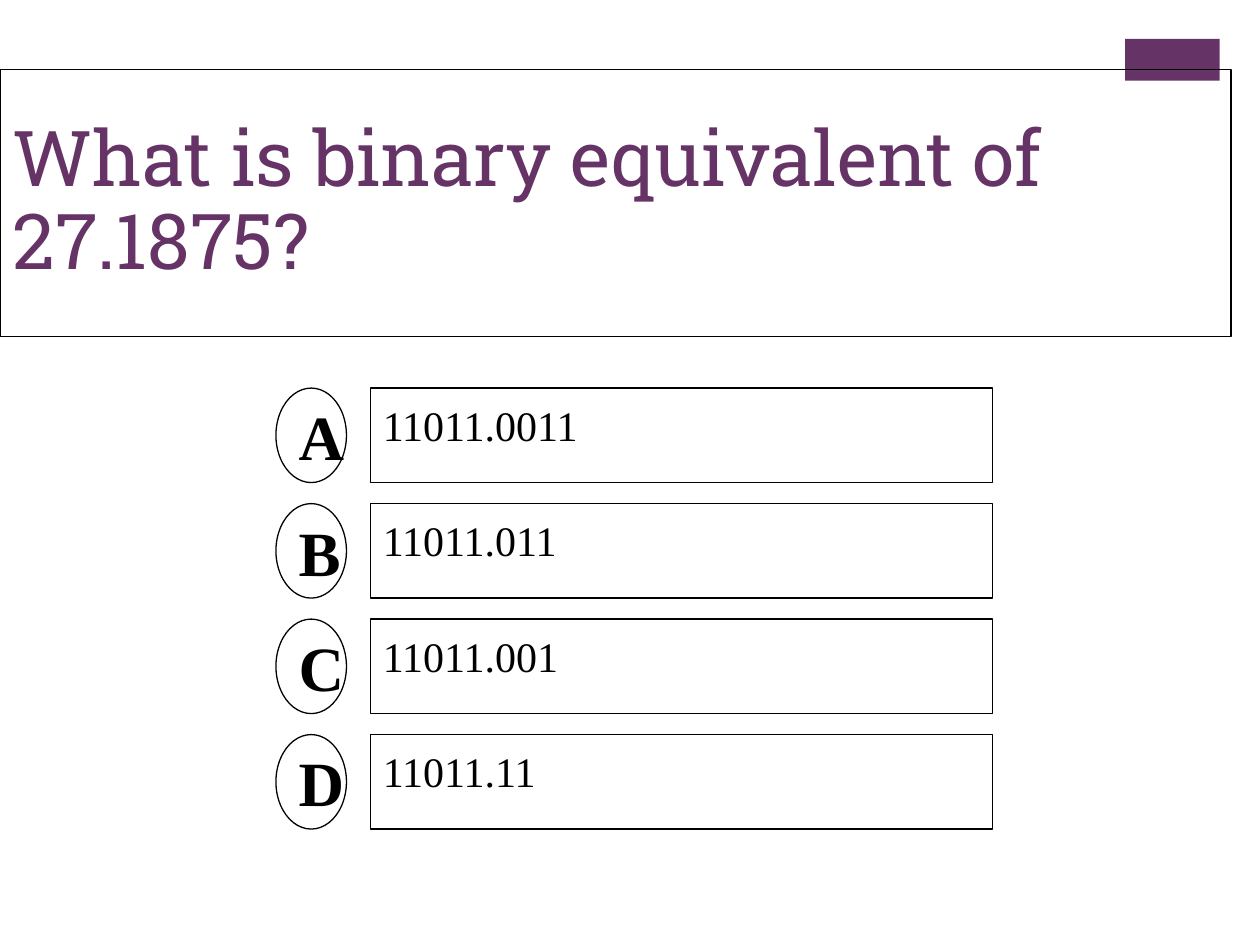
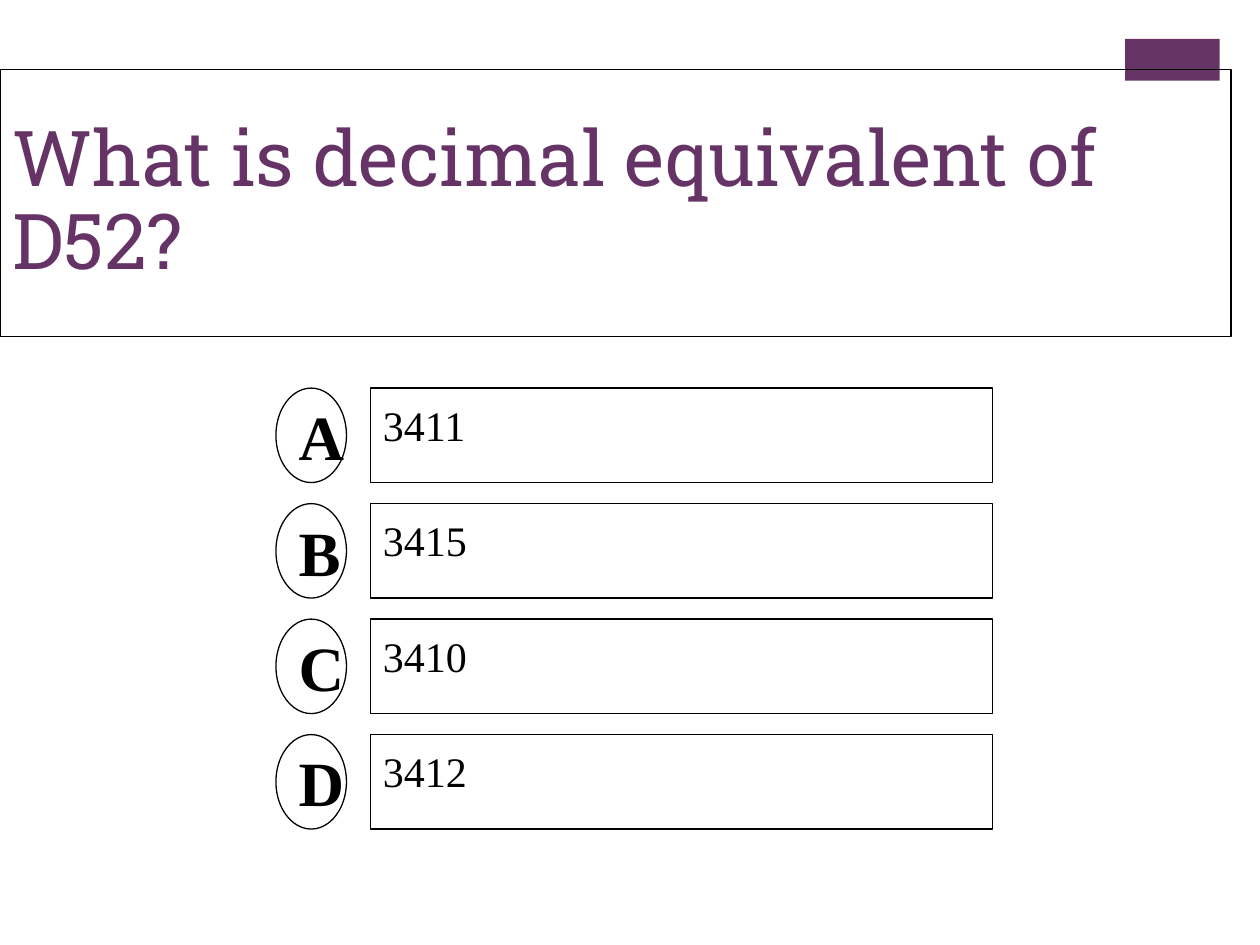
import pptx
import pptx.util
import pptx.dml.color
import pptx.enum.shapes
import pptx.enum.text

QUIZ = [
    ("What is binary equivalent of 27.1875?",
     ["11011.0011", "11011.011", "11011.001", "11011.11"]),
    ("What is decimal equivalent of D52?",
     ["3411", "3415", "3410", "3412"]),
]

Inches = pptx.util.Inches
Pt = pptx.util.Pt
RGBColor = pptx.dml.color.RGBColor
SHAPE = pptx.enum.shapes.MSO_SHAPE
ANCHOR = pptx.enum.text.MSO_ANCHOR
FIT = pptx.enum.text.MSO_AUTO_SIZE
ALIGN = pptx.enum.text.PP_ALIGN

PLUM = RGBColor(0x66, 0x33, 0x66)
BLACK = RGBColor(0, 0, 0)
WHITE = RGBColor(255, 255, 255)

BAR = (8.93, 0.31, 0.75, 0.33)
HEAD = (0, 0.55, 9.77, 2.12)
TOP, STEP, HIGH = 3.08, 2.75 / 3, 0.75
ROUND = (2.19, 0.56)
BOX = (2.94, 4.94)

TITLE = {
    "font": {"name": "Roboto Slab", "size": Pt(44), "color": PLUM},
    "frame": {"vertical_anchor": ANCHOR.MIDDLE, "word_wrap": True,
              "auto_size": FIT.NONE},
    "para": {"alignment": ALIGN.LEFT, "line_spacing": 0.9},
}
LETTER = {
    "font": {"name": "Times New Roman", "size": Pt(36), "bold": True,
             "color": BLACK},
    "frame": {"vertical_anchor": ANCHOR.MIDDLE, "word_wrap": False},
    "para": {"alignment": ALIGN.LEFT},
}
ANSWER = {
    "font": {"name": "Times New Roman", "size": Pt(24), "color": BLACK},
    "frame": {"vertical_anchor": ANCHOR.TOP, "word_wrap": False,
              "margin_top": Inches(0.09)},
    "para": {"alignment": ALIGN.LEFT},
}


def apply(item, style):
    for key, value in style.items():
        if key == "color":
            item.color.rgb = value
        else:
            setattr(item, key, value)


def write(shape, text, style):
    frame = shape.text_frame
    frame.text = text
    para = frame.paragraphs[0]
    apply(frame, style["frame"])
    apply(para, style["para"])
    apply(para.runs[0].font, style["font"])


def outline(shape):
    shape.line.color.rgb = BLACK
    shape.line.width = Pt(0.75)


def draw(slide, kind, place, fill=None):
    shape = slide.shapes.add_shape(kind, *map(Inches, place))
    shape.shadow.inherit = False
    if fill is None:
        shape.fill.background()
    else:
        shape.fill.solid()
        shape.fill.fore_color.rgb = fill
    return shape


def add_bar(deck, slide):
    bar = draw(slide, SHAPE.RECTANGLE, BAR, PLUM)
    bar.line.fill.background()
    deck.slide_master.shapes._spTree.append(bar._element)


def add_quiz(slide, query, picks):
    title, sub = slide.placeholders
    sub._element.getparent().remove(sub._element)
    sides = ("left", "top", "width", "height")
    apply(title, dict(zip(sides, map(Inches, HEAD))))
    write(title, query, TITLE)
    outline(title)
    for row, (letter, pick) in enumerate(zip("ABCD", picks)):
        top = TOP + row * STEP
        for kind, (left, width), fill, text, style in (
                (SHAPE.OVAL, ROUND, None, letter, LETTER),
                (SHAPE.RECTANGLE, BOX, WHITE, pick, ANSWER)):
            shape = draw(slide, kind, (left, top, width, HIGH), fill)
            outline(shape)
            write(shape, text, style)


def main():
    deck = pptx.Presentation()
    deck.slide_width, deck.slide_height = Inches(10), Inches(7.5)
    slides = [deck.slides.add_slide(deck.slide_layouts[0]) for _ in QUIZ]
    add_bar(deck, slides[0])
    for slide, (query, picks) in zip(slides, QUIZ):
        add_quiz(slide, query, picks)
    deck.save("out.pptx")


if __name__ == "__main__":
    main()
